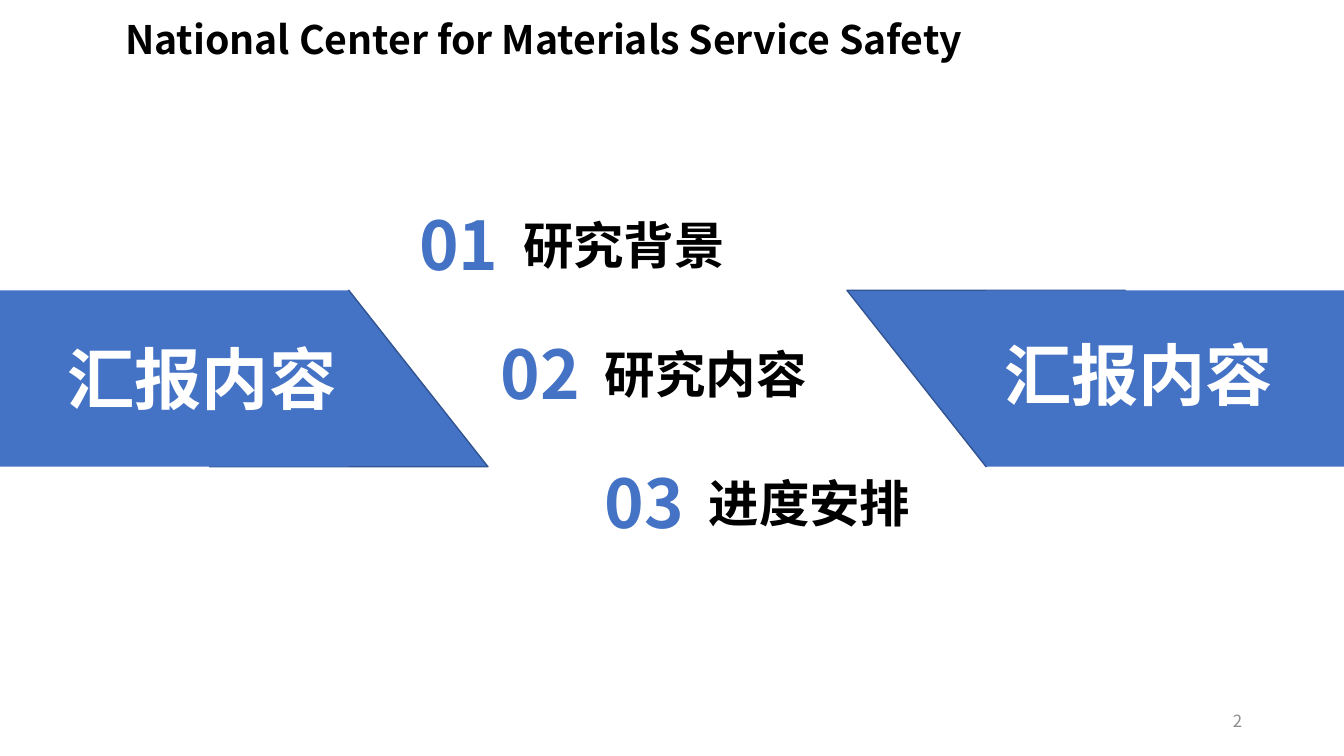
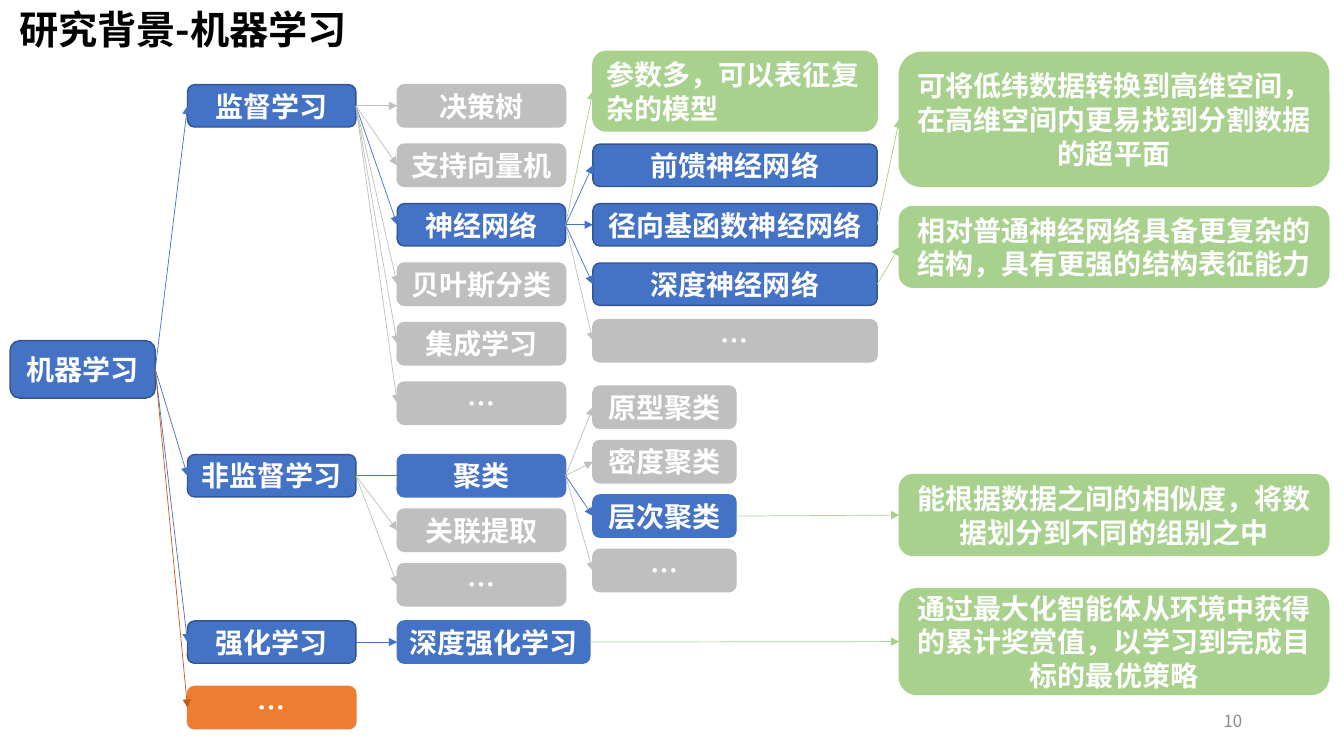
from dataclasses import dataclass

from lxml import etree
from pptx import Presentation
from pptx.dml.color import RGBColor
from pptx.enum.shapes import MSO_CONNECTOR, MSO_SHAPE
from pptx.enum.text import MSO_ANCHOR, MSO_AUTO_SIZE, PP_ALIGN
from pptx.oxml.ns import qn
from pptx.util import Inches, Pt

LEFT, CENTER, RIGHT = PP_ALIGN.LEFT, PP_ALIGN.CENTER, PP_ALIGN.RIGHT
TOP, MIDDLE = MSO_ANCHOR.TOP, MSO_ANCHOR.MIDDLE
NO_FIT = MSO_AUTO_SIZE.NONE
STRAIGHT = MSO_CONNECTOR.STRAIGHT
RECT, ROUND_RECT = MSO_SHAPE.RECTANGLE, MSO_SHAPE.ROUNDED_RECTANGLE
TRAPEZOID = MSO_SHAPE.TRAPEZOID
SIDE_LEFT, SIDE_RIGHT = 1, 3
TITLE_ONLY = 5


@dataclass(frozen=True)
class Look:
    fill: str
    line: str
    link: str


class Theme:
    font = "Noto Sans CJK SC"
    black, white, blue, page_grey = "000000", "FFFFFF", "4472C4", "8C8C8C"
    navy = "325491"
    heading, banner, agenda, node, page = 28, 48, 36, 20, 12
    line_pitch = 1.2
    outline, link = 1, 0.5
    key = Look(blue, navy, blue)
    flat = Look(blue, blue, blue)
    grey = Look("BFBFBF", "BFBFBF", "BFBFBF")
    note = Look("A9D18E", "A9D18E", "A9D18E")
    more = Look("ED7D31", "ED7D31", "C55A11")


KEY, FLAT, GREY, NOTE = Theme.key, Theme.flat, Theme.grey, Theme.note

# Left edge and width of each kind of tree node
ROOT, BRANCH, METHOD = (0.1, 1.44), (1.86, 1.67), (3.94, 1.67)
WIDE_METHOD = (3.94, 1.91)
NETWORK, CLUSTER, REMARK = (5.88, 2.82), (5.88, 1.42), (8.92, 4.26)


@dataclass(frozen=True)
class Node:
    text: str
    column: tuple
    top: float
    look: Look
    height: float = 0.42
    kids: tuple = ()
    align: PP_ALIGN = CENTER
    arrow: bool = True


class Deck:
    def __init__(self):
        self.prs = Presentation()
        self.prs.slide_width, self.prs.slide_height = Inches(13.33), Inches(7.5)
        self.slide = None

    def new_slide(self, title, x, y, w, number):
        self.slide = self.prs.slides.add_slide(self.prs.slide_layouts[TITLE_ONLY])
        sp = self.slide.shapes.title
        sp.left, sp.top, sp.width, sp.height = map(Inches, (x, y, w, 0.57))
        self.fill_text(sp, title, Theme.heading, Theme.black)
        self.text(number, 9.42, 6.95, 3, 0.4, Theme.page, Theme.page_grey,
                  bold=False, align=RIGHT, anchor=MIDDLE, wrap=True)

    def fill_text(self, sp, text, size, color, bold=True, align=LEFT, anchor=TOP,
                  wrap=True):
        tf = sp.text_frame
        tf.auto_size, tf.word_wrap, tf.vertical_anchor = NO_FIT, wrap, anchor
        p = tf.paragraphs[0]
        p.alignment = align
        p.line_spacing = Pt(size * Theme.line_pitch)
        r = p.add_run()
        r.text = text
        r.font.size, r.font.bold, r.font.name = Pt(size), bold, Theme.font
        r.font.color.rgb = RGBColor.from_string(color)
        etree.SubElement(r.font._element, qn("a:ea"), typeface=Theme.font)

    def text(self, text, x, y, w, h, size, color, wrap=False, **style):
        sp = self.slide.shapes.add_textbox(*map(Inches, (x, y, w, h)))
        self.fill_text(sp, text, size, color, wrap=wrap, **style)

    def shape(self, kind, x, y, w, h, fill, line=None):
        sp = self.slide.shapes.add_shape(kind, *map(Inches, (x, y, w, h)))
        sp.shadow.inherit = False
        sp.fill.solid()
        sp.fill.fore_color.rgb = RGBColor.from_string(fill)
        if line:
            sp.line.color.rgb = RGBColor.from_string(line)
            sp.line.width = Pt(Theme.outline)
        else:
            sp.line.fill.background()
        return sp

    def banner(self, text, slant_x, rect_x, rect_w, text_x, text_y, turn=0):
        """Draw a band with one slanted end and a large caption."""
        y, h = 2.88, 1.75
        sp = self.shape(TRAPEZOID, slant_x, y, 2.76, h, Theme.blue, Theme.navy)
        sp.adjustments[0] = 0.79
        sp.rotation = turn
        self.shape(RECT, rect_x, y, rect_w, h, Theme.blue)
        self.text(text, text_x, text_y, 2.89, 0.91, Theme.banner, Theme.white)

    def agenda_item(self, number, text, x, y):
        self.text(number, x, y, 1.03, 0.91, Theme.banner, Theme.blue)
        self.text(text, x + 1.03, y + 0.1, 2.22, 0.71, Theme.agenda, Theme.black)

    def link(self, parent, child, color, arrow):
        c = self.slide.shapes.add_connector(STRAIGHT, 0, 0, 0, 0)
        c.begin_connect(parent, SIDE_RIGHT)
        c.end_connect(child, SIDE_LEFT)
        c.line.color.rgb = RGBColor.from_string(color)
        c.line.width = Pt(Theme.link)
        if arrow:
            etree.SubElement(c.line._get_or_add_ln(), qn("a:tailEnd"),
                             type="triangle")
        etree.SubElement(c._element.spPr, qn("a:effectLst"))

    def tree(self, node):
        """Draw a node, then its descendants and the links to them."""
        x, w = node.column
        sp = self.shape(ROUND_RECT, x, node.top, w, node.height,
                        node.look.fill, node.look.line)
        self.fill_text(sp, node.text, Theme.node, Theme.white,
                       align=node.align, anchor=MIDDLE)
        for kid in node.kids:
            self.link(sp, self.tree(kid), kid.look.link, kid.arrow)
        return sp


def row(i):
    return 0.84 + 0.59 * i


def cluster_row(i):
    return 3.83 + 0.54 * i


def method_row(i):
    return 4.51 + 0.54 * i


def contents_slide(deck):
    deck.new_slide("National Center for Materials Service Safety",
                   1.14, 0.1, 8.87, "2")
    deck.banner("汇报内容", 2.08, 0, 3.46, 0.57, 3.3)
    deck.banner("汇报内容", 8.4, 9.78, 3.55, 9.86, 3.26, turn=180)
    items = (("研究背景", 4.06), ("研究内容", 4.87), ("进度安排", 5.9))
    for i, (text, x) in enumerate(items):
        deck.agenda_item(f"0{i + 1}", text, x, 1.97 + 1.28 * i)


def learning_slide(deck):
    deck.new_slide("研究背景-机器学习", 0.09, 0, 3.52, "10")
    networks = (
        Node("参数多，可以表征复杂的模型", NETWORK, 0.51, NOTE, 0.79, align=LEFT),
        Node("前馈神经网络", NETWORK, row(1), KEY),
        Node("径向基函数神经网络", NETWORK, row(2), KEY, kids=(
            Node("可将低纬数据转换到高维空间，在高维空间内更易找到分割数据的超平面",
                 REMARK, 0.52, NOTE, 1.33),)),
        Node("深度神经网络", NETWORK, row(3), KEY, kids=(
            Node("相对普通神经网络具备更复杂的结构，具有更强的结构表征能力",
                 REMARK, 2.05, NOTE, 0.8),)),
        Node("…", NETWORK, 3.17, GREY),
    )
    clusters = (
        Node("原型聚类", CLUSTER, cluster_row(0), GREY),
        Node("密度聚类", CLUSTER, cluster_row(1), GREY),
        Node("层次聚类", CLUSTER, cluster_row(2), FLAT, kids=(
            Node("能根据数据之间的相似度，将数据划分到不同的组别之中",
                 REMARK, 4.71, NOTE, 0.8),)),
        Node("…", CLUSTER, cluster_row(3), GREY),
    )
    supervised = (
        Node("决策树", METHOD, row(0), GREY),
        Node("支持向量机", METHOD, row(1), GREY),
        Node("神经网络", METHOD, row(2), KEY, kids=networks),
        Node("贝叶斯分类", METHOD, row(3), GREY),
        Node("集成学习", METHOD, row(4), GREY),
        Node("…", METHOD, row(5), GREY),
    )
    unsupervised = (
        Node("聚类", METHOD, method_row(0), FLAT, kids=clusters, arrow=False),
        Node("关联提取", METHOD, method_row(1), GREY),
        Node("…", METHOD, method_row(2), GREY),
    )
    reinforcement = (
        Node("深度强化学习", WIDE_METHOD, 6.16, FLAT, kids=(
            Node("通过最大化智能体从环境中获得的累计奖赏值，以学习到完成目标的最优策略",
                 REMARK, 5.84, NOTE, 1.05),)),
    )
    deck.tree(Node("机器学习", ROOT, 3.38, KEY, 0.57, kids=(
        Node("监督学习", BRANCH, row(0), KEY, kids=supervised),
        Node("非监督学习", BRANCH, method_row(0), KEY, kids=unsupervised),
        Node("强化学习", BRANCH, 6.16, KEY, kids=reinforcement),
        Node("…", BRANCH, 6.81, Theme.more),
    )))


def main():
    deck = Deck()
    contents_slide(deck)
    learning_slide(deck)
    deck.prs.save("out.pptx")


if __name__ == "__main__":
    main()
